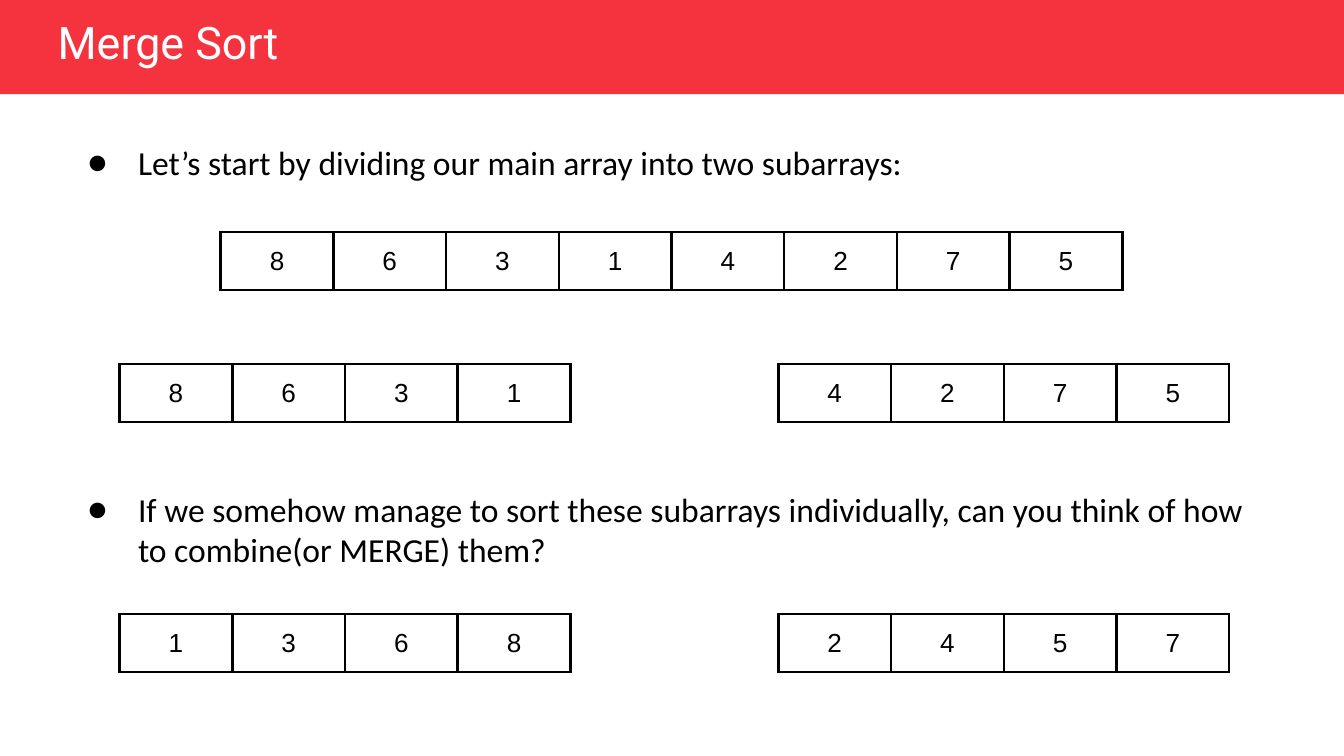
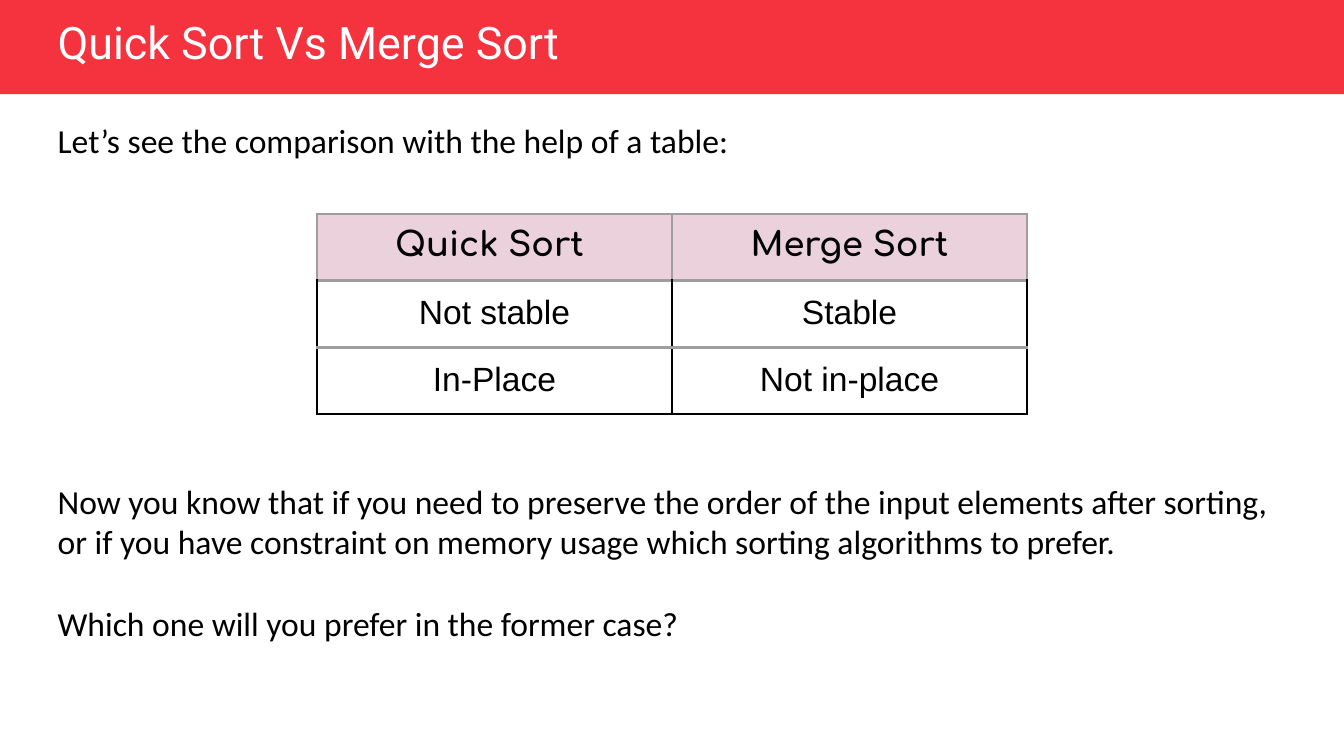
from dataclasses import dataclass

from lxml.etree import SubElement
from pptx import Presentation
from pptx.dml.color import RGBColor
from pptx.enum.shapes import MSO_SHAPE
from pptx.enum.text import MSO_ANCHOR, PP_ALIGN
from pptx.oxml.ns import qn
from pptx.util import Cm, Pt


@dataclass(frozen=True)
class Theme:
    band: str = "F4333F"
    white: str = "FFFFFF"
    ink: str = "000000"
    rule: str = "9E9E9E"
    header: str = "EAD1DC"
    title_font: str = "Roboto"
    body_font: str = "Calibri"
    cell_font: str = "Arial"
    header_font: str = "Comfortaa"
    title_size: int = 24
    body_size: int = 18
    array_size: int = 14
    inset: float = 0.25


def write(p, text, *, font, size, color, bold=False, align=PP_ALIGN.LEFT, before=0):
    p.alignment = align
    p.space_before = Pt(before)
    r = p.add_run()
    r.text = text
    r.font.name = font
    r.font.size = Pt(size)
    r.font.bold = bold
    r.font.color.rgb = RGBColor.from_string(color)


def add_bullet(p, color, font):
    pPr = p._p.get_or_add_pPr()
    pPr.set("marL", str(Cm(1.27)))
    pPr.set("indent", str(Cm(-0.96)))
    clr = SubElement(pPr, qn("a:buClr"))
    SubElement(clr, qn("a:srgbClr"), val=color)
    SubElement(pPr, qn("a:buFont"), typeface=font)
    SubElement(pPr, qn("a:buChar"), char="●")


def set_borders(cell, **sides):
    tcPr = cell._tc.get_or_add_tcPr()
    for side in "LRTB":
        color, width = sides[side]
        ln = SubElement(tcPr, qn(f"a:ln{side}"), w=str(Pt(width)))
        fill = SubElement(ln, qn("a:solidFill"))
        SubElement(fill, qn("a:srgbClr"), val=color)


class Deck:
    def __init__(self, theme):
        self.theme = theme
        self.prs = Presentation()
        self.prs.slide_width = Cm(25.4)
        self.prs.slide_height = Cm(14.29)
        self.s = None

    def slide(self, title):
        t = self.theme
        self.s = self.prs.slides.add_slide(self.prs.slide_layouts[6])
        band = self.s.shapes.add_shape(MSO_SHAPE.RECTANGLE, 0, 0, self.prs.slide_width, Cm(1.78))
        band.shadow.inherit = False
        band.fill.solid()
        band.fill.fore_color.rgb = RGBColor.from_string(t.band)
        band.line.fill.background()
        tf = self.frame(1.09, 0.25, 19.28, 1.09, (0, 0.03, 0, 0))
        write(tf.paragraphs[0], title, font=t.title_font, size=t.title_size, color=t.white)

    def frame(self, left, top, width, height, insets):
        sp = self.s.shapes.add_textbox(Cm(left), Cm(top), Cm(width), Cm(height))
        tf = sp.text_frame
        tf.word_wrap = True
        tf.margin_left, tf.margin_top, tf.margin_right, tf.margin_bottom = map(Cm, insets)
        return tf

    def body(self, left, top, width, height, *paragraphs, bullet=False):
        t = self.theme
        tf = self.frame(left, top, width, height, [t.inset] * 4)
        for i, (text, before) in enumerate(paragraphs):
            p = tf.add_paragraph() if i else tf.paragraphs[0]
            write(p, text, font=t.body_font, size=t.body_size, color=t.ink, before=before)
            if bullet:
                add_bullet(p, t.ink, t.body_font)

    def bullet(self, top, text):
        self.body(1.09, top, 23.22, 2.16, (text, 0), bullet=True)

    def table(self, left, top, col_width, rows):
        row_height = 1.09
        shape = self.s.shapes.add_table(
            len(rows), len(rows[0]), Cm(left), Cm(top),
            Cm(col_width * len(rows[0])), Cm(row_height * len(rows)))
        table = shape.table
        table.first_row = table.horz_banding = False
        for col in table.columns:
            col.width = Cm(col_width)
        for row in table.rows:
            row.height = Cm(row_height)
        for i, texts in enumerate(rows):
            for j, text in enumerate(texts):
                yield i, table.cell(i, j), text

    def fill_cell(self, cell, text, *, anchor, fill=None, **style):
        cell.margin_left = cell.margin_right = Cm(self.theme.inset)
        cell.margin_top = cell.margin_bottom = Cm(self.theme.inset)
        cell.vertical_anchor = anchor
        if fill:
            cell.fill.solid()
            cell.fill.fore_color.rgb = RGBColor.from_string(fill)
        else:
            cell.fill.background()
        write(cell.text_frame.paragraphs[0], text, color=self.theme.ink,
              align=PP_ALIGN.CENTER, **style)

    def array(self, left, top, digits):
        t = self.theme
        for _, cell, text in self.table(left, top, 2.13, [digits]):
            set_borders(cell, **dict.fromkeys("LRTB", (t.ink, 1.5)))
            self.fill_cell(cell, text, anchor=MSO_ANCHOR.MIDDLE, font=t.cell_font, size=t.array_size)

    def halves(self, top, left_digits, right_digits):
        self.array(2.26, top, left_digits)
        self.array(14.71, top, right_digits)

    def comparison(self, left, top, rows):
        t = self.theme
        gray, black = (t.rule, 1.5), (t.ink, 1)
        for i, cell, text in self.table(left, top, 6.71, rows):
            head = i == 0
            side = gray if head else black
            bottom = black if i == len(rows) - 1 else gray
            set_borders(cell, L=side, R=side, T=gray, B=bottom)
            self.fill_cell(cell, text, anchor=MSO_ANCHOR.TOP, fill=t.header if head else None,
                           font=t.header_font if head else t.cell_font,
                           size=t.body_size, bold=head)


def main():
    deck = Deck(Theme())

    deck.slide("Merge Sort")
    deck.bullet(2.44, "Let’s start by dividing our main array into two subarrays:")
    deck.array(4.17, 4.39, "86314275")
    deck.halves(6.88, "8631", "4275")
    deck.bullet(8.99, "If we somehow manage to sort these subarrays individually, "
                      "can you think of how to combine(or MERGE) them?")
    deck.halves(11.61, "1368", "2457")

    deck.slide("Quick Sort Vs Merge Sort")
    deck.body(
        0.84, 2.01, 23.7, 3,
        ("Let’s see the comparison with the help of a table:", 0),
        ("Now you know that if you need to preserve the order of the input elements after sorting, "
         "or if you have constraint on memory usage which sorting algorithms to prefer.", 172),
        ("Which one will you prefer in the former case?", 22))
    deck.comparison(5.99, 4.04, [
        ("Quick Sort ", "Merge Sort"),
        ("Not stable", "Stable"),
        ("In-Place", "Not in-place")])

    deck.prs.save("out.pptx")


if __name__ == "__main__":
    main()
